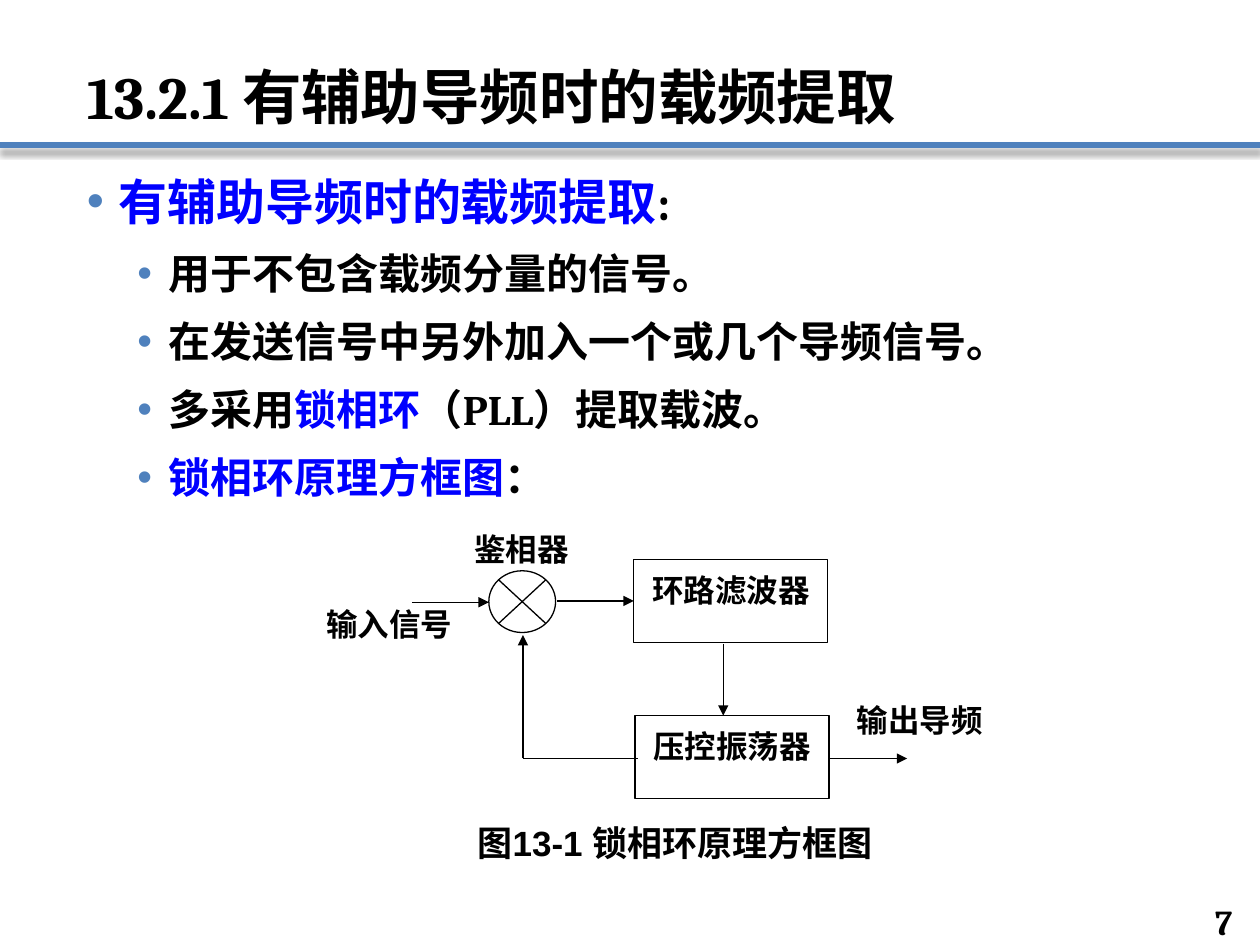
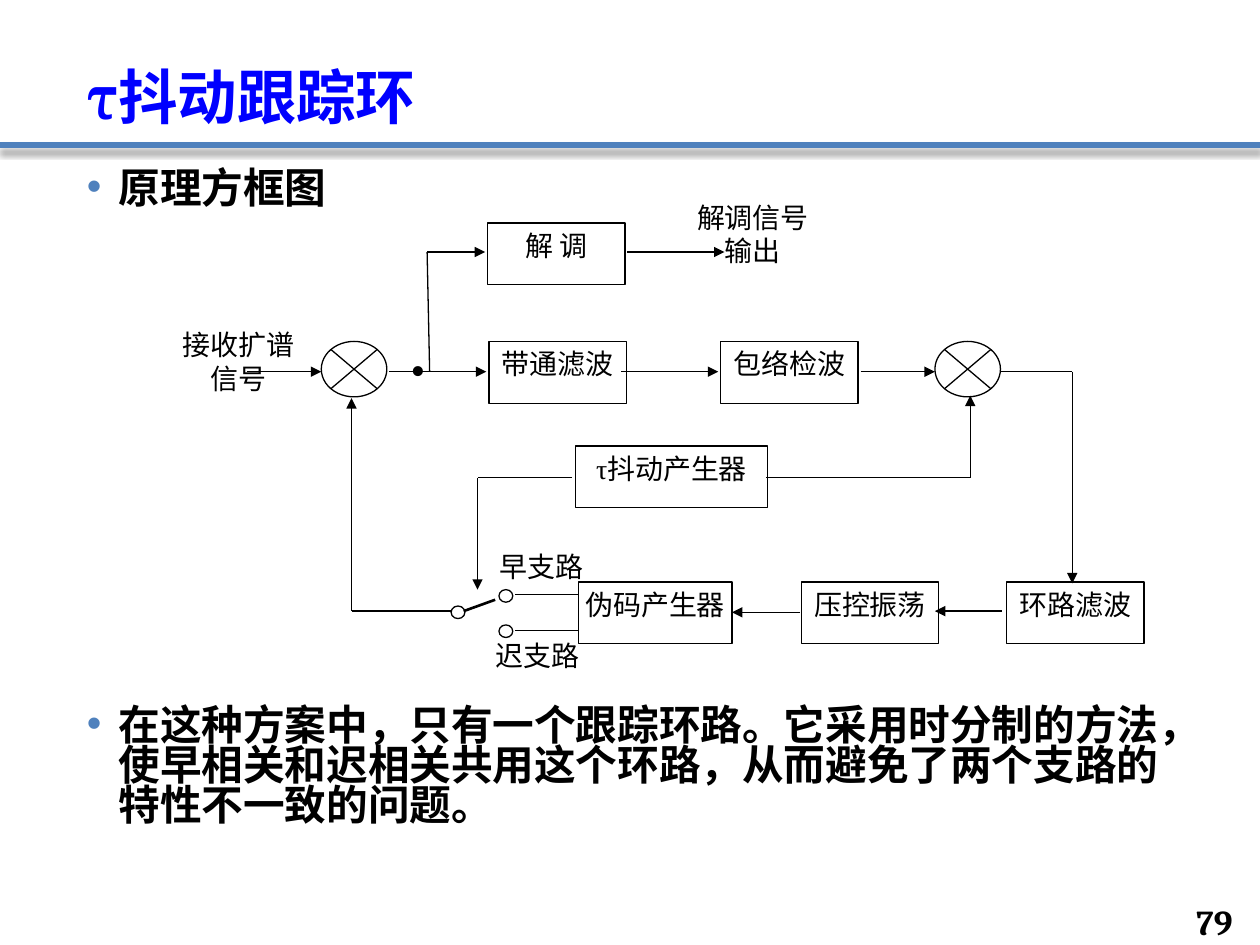
from itertools import pairwise
from lxml import etree
from pptx import Presentation
from pptx.dml.color import RGBColor
from pptx.enum.shapes import MSO_CONNECTOR as Link, MSO_SHAPE as Form
from pptx.enum.text import MSO_ANCHOR as Anchor, MSO_AUTO_SIZE as Fit, PP_ALIGN as Align
from pptx.oxml import parse_xml
from pptx.oxml.ns import qn
from pptx.util import Inches, Pt

# Shared look; the grid has 100 columns and 75 rows
NS = 'xmlns:a="http://schemas.openxmlformats.org/drawingml/2006/main"'
BLACK, WHITE, BLUE, BAND = "000000", "FFFFFF", "0000FF", "4F81BD"
LEFT, MID, RIGHT = Align.LEFT, Align.CENTER, Align.RIGHT
CELL = Inches(0.1)
hue = RGBColor.from_string
SHADE = (f'<a:effectLst {NS}><a:outerShdw blurRad="{Pt(4)}" dist="{Pt(3)}" dir="5400000">'
         '<a:srgbClr val="000000"><a:alpha val="43000"/></a:srgbClr>'
         '</a:outerShdw></a:effectLst>')


def write(frame, text, size=20, font="Cambria", bold=True, align=LEFT):
    """Add a paragraph per line; text between asterisks is blue."""
    frame.word_wrap, frame.auto_size = True, Fit.NONE
    for row in text.split("\n"):
        para = frame.paragraphs[-1]
        if para.runs:
            para = frame.add_paragraph()
        para.alignment = align
        for n, part in enumerate(row.split("*")):
            if part:
                run = para.add_run()
                run.text = part
                run.font.name, run.font.size, run.font.bold = font, Pt(size), bold
                run.font.color.rgb = hue(BLUE if n % 2 else BLACK)
    return para


def join(slide, start, end, color=BLACK, width=0.75, arrow=False, effect=f"<a:effectLst {NS}/>"):
    """Draw a straight line between two grid points."""
    ends = [int(v * CELL) for v in (*start, *end)]
    wire = slide.shapes.add_connector(Link.STRAIGHT, *ends)
    wire.line.color.rgb, wire.line.width = hue(color), Pt(width)
    if arrow:
        etree.SubElement(wire.line._get_or_add_ln(), qn("a:tailEnd"), type="triangle")
    wire._element.spPr.append(parse_xml(effect))


# Pilot carrier: phase-locked loop
pilot = dict(
    title="13.2.1 有辅助导频时的载频提取", number="7",
    # level, size, space before, line spacing, text
    body=[(0, 28, 18, 1, "*有辅助导频时的载频提取*:")] + [(1, 24, 10, 1, text) for text in (
        "用于不包含载频分量的信号。",
        "在发送信号中另外加入一个或几个导频信号。",
        "多采用*锁相环*（PLL）提取载波。",
        "*锁相环原理方框图*：")],
    style=dict(font="Arial", bold=True), size=18, inset=(1, 0.9), high=6.6,
    boxes=[(50.3, 44.4, 15.4, "环路滤波器"), (50.4, 56.8, 15.4, "压控振荡器")],
    mixers=[(38.8, 45.3, 5.3, 4.9)], knobs=[],
    routes=[[(44.2, 47.7), (50.3, 47.7)],
            [(32.7, 47.8), (38.8, 47.8)],
            [(57.4, 51.1), (57.4, 56.8)],
            [(50.6, 60.2), (41.5, 60.2), (41.5, 50.4)],
            [(65.9, 60.2), (72, 60.2)]],
    plain=[],
    # left, top, width, height, text, size, alignment, side and top inset
    labels=[(67, 54.7, 13.9, 6.5, "输出导频", 18, LEFT, 1, 0.9),
            (24.9, 47.1, 14, 6.6, "输入信号", 18, LEFT, 1, 0.9),
            (27.6, 64.7, 52, 5.1, "图13-1 锁相环原理方框图", 20, MID, 1, 0.5),
            (36, 42.1, 10.8, 3.5, "鉴相器", 18, MID, 0, 0)])

# Dither tracking loop
top, main, mid, low = 20, 29.5, 37.9, 48.5
dither = dict(
    title="*τ抖动跟踪环*", number="79",
    body=[(0, 23.8, 18, 0.8, "原理方框图"),
          (0, 23.8, 284, 0.8, "在这种方案中，只有一个跟踪环路。它采用时分制的方法，"
           "使早相关和迟相关共用这个环路，从而避免了两个支路的特性不一致的问题。")],
    style=dict(font="Times New Roman", bold=False), size=16, inset=(0, 0.4), high=4.9,
    boxes=[(38.7, 17.7, 10.9, "解 调"),
           (38.8, 27.1, 10.9, "带通滤波"), (57.2, 27.1, 10.9, "包络检波"),
           (45.7, 35.4, 15.2, "τ抖动产生器"),
           (45.9, 46.2, 12.2, "伪码产生器"), (63.6, 46.2, 10.9, "压控振荡"),
           (79.9, 46.2, 10.9, "环路滤波")],
    mixers=[(x, 27.1, 5.2, 4.4) for x in (25.5, 74.2)],
    knobs=[(39.6, 46.8), (39.6, 49.6), (35.8, 48.1)],
    routes=[[(a, main), (b, main)] for a, b in (
                (19.6, 25.5), (30.9, 38.6), (49.3, 57), (68.3, 74.2))] + [
            [(34.1, main), (33.9, top), (38.5, top)],
            [(49.8, top), (57.5, top)],
            [(60.8, mid), (77, mid), (77, 31.4)],
            [(45.4, mid), (37.9, mid), (37.9, 46.8)],
            [(79.4, main), (85.1, main), (85.1, 46.3)],
            [(79.5, low), (74.2, low)],
            [(63.5, 48.6), (58.1, 48.6)],
            [(35.9, low), (27.9, low), (27.9, 31.6)]],
    plain=[((36.8, 48.5), (39.3, 47.6), 1.5)] + [
        ((40.9, y), (45.9, y), 0.75) for y in (47.2, 50.05)],
    labels=[(31.6, 26.8, 4.5, 4.9, "•", 24, LEFT, 1, 0.5),
            (54.3, 15.5, 10.9, 7.5, "解调信号\n输出", 16, MID, 0, 0.4),
            (13.5, 25.6, 10.9, 7.5, "接收扩谱\n信号", 16, MID, 0, 0.4),
            (38.4, 43.2, 9.1, 4.1, "早支路", 16, MID, 0, 0.4),
            (38.1, 50.3, 9.1, 4.1, "迟支路", 16, MID, 0, 0.4)])

deck = Presentation()
deck.slide_width, deck.slide_height = 100 * CELL, 75 * CELL

for page in (pilot, dither):
    slide = deck.slides.add_slide(deck.slide_layouts[1])
    shapes = slide.shapes

    # Band, title and list
    join(slide, (0, 11.5), (100, 11.5), color=BAND, width=3, effect=SHADE)
    title, body = slide.placeholders
    for holder, y, high in ((title, 2.1, 8.9), (body, 13.1, 55.1)):
        holder.left, holder.top, holder.width, holder.height = (
            int(v * CELL) for v in (5.9, y, 88.2, high))
    head = write(title.text_frame, page["title"], size=34)
    head.line_spacing = 0.9
    title.text_frame.vertical_anchor = Anchor.BOTTOM
    for level, size, gap, pitch, text in page["body"]:
        para = write(body.text_frame, text, size=size)
        para.level, para.space_before, para.line_spacing = level, Pt(gap), pitch
        prop = para._p.get_or_add_pPr()
        prop.set("marL", str(Inches(0.65 if level else 0.25)))
        prop.set("indent", str(-Inches(0.25)))
        for mark in (f'<a:buClr {NS}><a:srgbClr val="{BAND}"/></a:buClr>',
                     f'<a:buFont {NS} typeface="Arial"/>', f'<a:buChar {NS} char="•"/>'):
            prop.append(parse_xml(mark))

    # Blocks, mixers and switch contacts
    blocks = [(Form.RECTANGLE, x, y, w, page["high"], text) for x, y, w, text in page["boxes"]]
    blocks += [(Form.FLOWCHART_SUMMING_JUNCTION, *spot, "") for spot in page["mixers"]]
    blocks += [(Form.OVAL, x, y, 1.1, 1, "") for x, y in page["knobs"]]
    for form, *spot, text in blocks:
        block = shapes.add_shape(form, *(int(v * CELL) for v in spot))
        block.shadow.inherit = False
        block.fill.solid()
        block.fill.fore_color.rgb = hue(WHITE)
        block.line.color.rgb, block.line.width = hue(BLACK), Pt(0.75)
        if text:
            frame = block.text_frame
            side, lift = page["inset"]
            frame.margin_left = frame.margin_right = int(side * CELL)
            frame.margin_top, frame.margin_bottom = int(lift * CELL), 0
            frame.vertical_anchor = Anchor.TOP
            write(frame, text, size=page["size"], align=MID, **page["style"])

    # Signal paths: the last leg of each bears the arrow
    for route in page["routes"]:
        for start, end in pairwise(route):
            join(slide, start, end, arrow=end == route[-1])
    for start, end, width in page["plain"]:
        join(slide, start, end, width=width)

    # Labels
    for *spot, text, size, align, side, lift in page["labels"]:
        frame = shapes.add_textbox(*(int(v * CELL) for v in spot)).text_frame
        frame.margin_left = frame.margin_right = int(side * CELL)
        frame.margin_top, frame.margin_bottom = int(lift * CELL), 0
        write(frame, text, size=size, align=align, **page["style"])

    # Page number
    frame = shapes.add_textbox(*(int(v * CELL) for v in (91.9, 71.7, 6.9, 2.8))).text_frame
    frame.vertical_anchor = Anchor.MIDDLE
    write(frame, page["number"], align=RIGHT)

deck.save("out.pptx")
